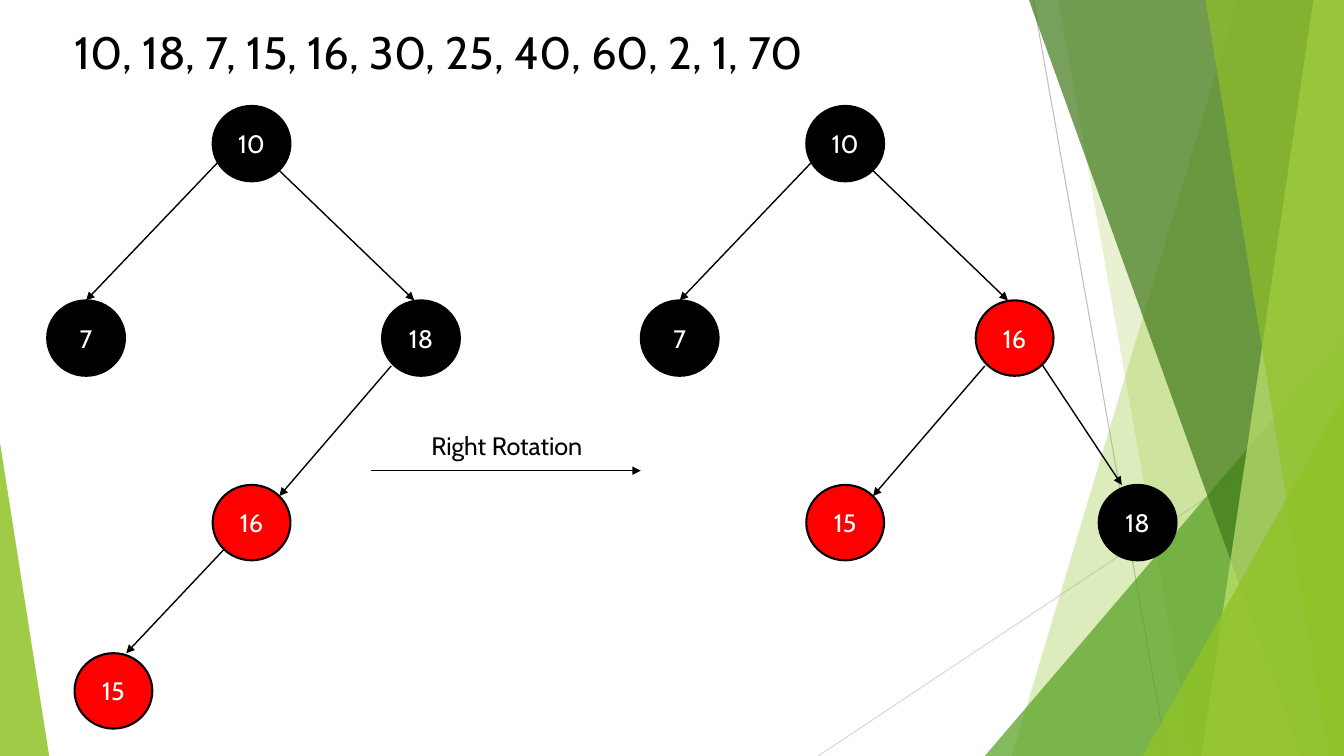
"""Build the slide showing a right rotation in a red-black tree."""
from lxml import etree
from pptx import Presentation
from pptx import util as u
from pptx.dml.color import RGBColor
from pptx.enum import shapes, text
from pptx.oxml.ns import qn

WIDE, HIGH = 33.87, 19.05
FONT = "Cabin"
HEX = {"black": "000000", "white": "FFFFFF", "red": "FF0000",
       "gray": "BFBFBF", "pale": "D9D9D9", "lime": "90C226",
       "green": "54A021", "dark": "3F7819", "light": "C0E474"}

RAYS = [((26.04, 0), (29.41, HIGH), "gray"),
        ((WIDE, 10.24), (20.62, HIGH), "pale")]
BANDS = [("band", 31.19, 25.5, "lime", 30),
         ("band", 26.67, 30.05, "lime", 20),
         ("peak", (24.82, 8.46, WIDE), 1, "green", 72),
         ("band", 25.93, 32.79, "dark", 70),
         ("band", 33.1, 30.28, "light", 70),
         ("band", 30.38, 33.48, "lime", 65),
         ("peak", (28.8, 9.98, WIDE), 1, "lime", 80),
         ("peak", (0, 11.15, 1.24), 0, "lime", 85)]

LABELS = [("10, 18, 7, 15, 16, 30, 25, 40, 60, 2, 1, 70", (1.63, 0.48, 23.88, 1.57), 32.4),
          ("Right Rotation", (10.62, 10.72, 5.38, 1.02), 18)]
TURN = ((9.35, 11.86), (16.15, 11.86))

SIZE = (1.96, 1.9)
ROWS = [2.67, 7.57, 12.22, 16.46]
ENDS = {"left": ((0.15, 1.4), (0.98, 0)),
        "right": ((1.68, 1.63), (0.81, 0)),
        "inner": ((0.23, 1.65), (1.68, 0.28)),
        "lower": ((0.28, 1.63), (1.3, 0)),
        "outer": ((1.68, 1.63), (0.58, 0))}
TREES = [
    (0, {"10": (5.36, 0, "black"), "7": (1.19, 1, "black"),
         "18": (9.63, 1, "black"), "16": (5.36, 2, "red"),
         "15": (1.88, 3, "red")},
     [("10", "7", "left"), ("10", "18", "right"),
      ("18", "16", "inner"), ("16", "15", "lower")]),
    (14.96, {"10": (5.36, 0, "black"), "7": (1.19, 1, "black"),
             "16": (9.63, 1, "red"), "15": (5.36, 2, "red"),
             "18": (12.73, 2, "black")},
     [("10", "7", "left"), ("10", "16", "right"),
      ("16", "15", "inner"), ("16", "18", "outer")])]


def cm(vals):
    return [u.Cm(v) for v in vals]


def put(obj, **vals):
    for key, val in vals.items():
        setattr(obj, key, val)


def tint(fill, name):
    fill.solid()
    fill.fore_color.rgb = RGBColor.from_string(HEX[name])


def fade(shape, name, pct):
    shape.shadow.inherit = False
    tint(shape.fill, name)
    shape.line.fill.background()
    tone = shape.fill._xPr.find(".//" + qn("a:srgbClr"))
    etree.SubElement(tone, qn("a:alpha")).set("val", str(pct * 1000))


def link(slide, start, end, name="black", width=1, head=True):
    line = slide.shapes.add_connector(shapes.MSO_CONNECTOR.STRAIGHT, *cm(start + end))
    tint(line.line.fill, name)
    line.line.width = u.Pt(width)
    if head:
        tip = etree.SubElement(line.line._get_or_add_ln(), qn("a:tailEnd"))
        tip.set("type", "triangle")
    etree.SubElement(line._element.spPr, qn("a:effectLst"))


def write(shape, words, size, name, align):
    para = shape.text_frame.paragraphs[0]
    para.text = words
    para.alignment = align
    put(para.font, name=FONT, size=u.Pt(size))
    para.font.color.rgb = RGBColor.from_string(HEX[name])


def scene(slide):
    for start, end, name in RAYS:
        link(slide, start, end, name, 0.75, False)
    for kind, a, b, name, pct in BANDS:
        if kind == "band":
            path = slide.shapes.build_freeform(u.Cm(a), 0)
            path.add_line_segments([cm(p) for p in [(WIDE, 0), (WIDE, HIGH), (b, HIGH)]])
            shape = path.convert_to_shape()
        else:
            left, top, right = a
            shape = slide.shapes.add_shape(
                shapes.MSO_SHAPE.ISOSCELES_TRIANGLE,
                *cm((left, top, right - left, HIGH - top)))
            shape.adjustments[0] = b
        fade(shape, name, pct)


def tree(slide, shift, nodes, edges):
    spot = {key: (x + shift, ROWS[row]) for key, (x, row, _) in nodes.items()}
    for key, (_, _, name) in nodes.items():
        node = slide.shapes.add_shape(
            shapes.MSO_SHAPE.FLOWCHART_CONNECTOR, *cm(spot[key] + SIZE))
        node.shadow.inherit = False
        tint(node.fill, name)
        tint(node.line.fill, "black")
        node.line.width = u.Pt(1.5)
        put(node.text_frame, margin_left=0, margin_right=0, margin_top=0,
            margin_bottom=0, vertical_anchor=text.MSO_ANCHOR.MIDDLE)
        write(node, key, 18, "white", text.PP_ALIGN.CENTER)
    for top, low, kind in edges:
        start, end = [tuple(p + d for p, d in zip(spot[key], gap))
                      for key, gap in zip((top, low), ENDS[kind])]
        link(slide, start, end)


def main():
    deck = Presentation()
    put(deck, slide_width=u.Cm(WIDE), slide_height=u.Cm(HIGH))
    slide = deck.slides.add_slide(deck.slide_layouts[6])
    scene(slide)
    for words, box, size in LABELS:
        label = slide.shapes.add_textbox(*cm(box))
        label.text_frame.word_wrap = True
        write(label, words, size, "black", text.PP_ALIGN.LEFT)
    link(slide, *TURN)
    for plan in TREES:
        tree(slide, *plan)
    deck.save("out.pptx")


if __name__ == "__main__":
    main()
